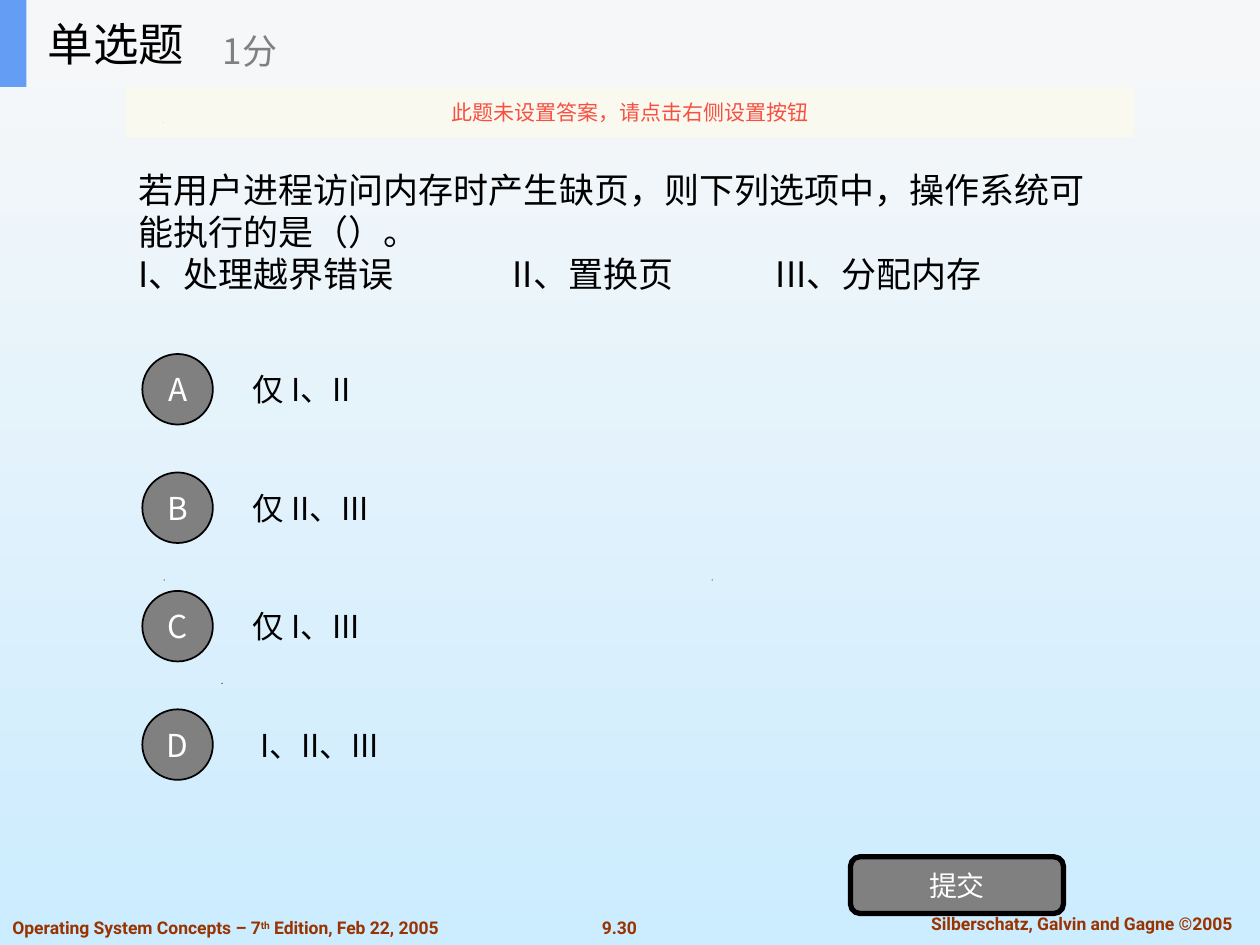
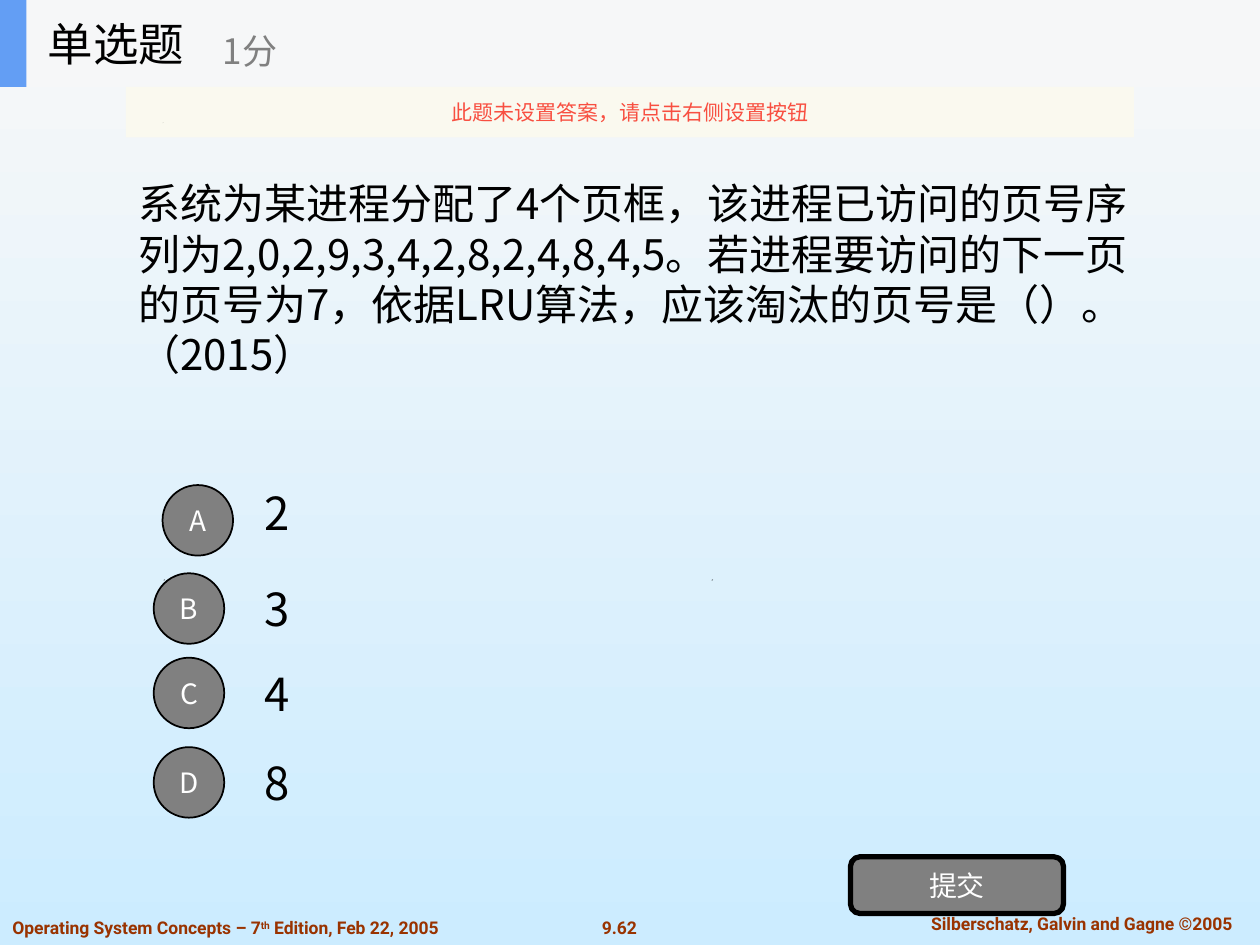
from lxml import etree
from pptx import Presentation
from pptx.dml.color import RGBColor
from pptx.enum.shapes import MSO_SHAPE
from pptx.enum.text import MSO_ANCHOR, PP_ALIGN
from pptx.oxml.ns import qn
from pptx.util import Inches, Pt

RECT, ROUNDED, OVAL = MSO_SHAPE.RECTANGLE, MSO_SHAPE.ROUNDED_RECTANGLE, MSO_SHAPE.OVAL
LEFT, CENTER = PP_ALIGN.LEFT, PP_ALIGN.CENTER
MIDDLE, TOP = MSO_ANCHOR.MIDDLE, MSO_ANCHOR.TOP

BLACK = RGBColor(0x00, 0x00, 0x00)
WHITE = RGBColor(0xFF, 0xFF, 0xFF)
GRAY = RGBColor(0x80, 0x80, 0x80)
PALE = RGBColor(0xF8, 0xF8, 0xF8)
SKY = RGBColor(0xCC, 0xEC, 0xFF)
HEADER_BAND = RGBColor(0xF6, 0xF7, 0xF8)
ACCENT = RGBColor(0x63, 0x9E, 0xF4)
NOTICE_BAND = RGBColor(0xFB, 0xFA, 0xEF)
NOTICE_RED = RGBColor(0xF8, 0x4F, 0x41)
FOOTER_BROWN = RGBColor(0x99, 0x33, 0x00)

CJK_FONT = "Noto Sans CJK SC"
FOOTER_FONT = "Roboto"
BADGE_SIZE = 0.56
OPTION_HEIGHT = 0.7
SPECKS = [(1.76, 5.42), (1.3, 4.6), (5.65, 4.6), (1.29, 0.97)]


def write(shape, text, size=18, color=BLACK, font=CJK_FONT, bold=False, align=LEFT,
          anchor=MIDDLE, wrap=True, spacing=None, tabs=(), inset=0.1):
    frame = shape.text_frame
    frame.word_wrap = wrap
    frame.vertical_anchor = anchor
    frame.margin_left = Inches(inset)
    lines = [text] if isinstance(text, str) else text
    for index, line in enumerate(lines):
        paragraph = frame.add_paragraph() if index else frame.paragraphs[0]
        paragraph.alignment = align
        if spacing:
            paragraph.line_spacing = Pt(spacing)
        if tabs:
            tab_list = etree.SubElement(paragraph._p.get_or_add_pPr(), qn("a:tabLst"))
            for position in tabs:
                etree.SubElement(tab_list, qn("a:tab"), pos=str(Inches(position)), algn="l")
        for part in [line] if isinstance(line, str) else line:
            content, baseline = (part, 0) if isinstance(part, str) else part
            run = paragraph.add_run()
            run.text = content
            run.font.size = Pt(size)
            run.font.bold = bold
            run.font.color.rgb = color
            run.font.name = font
            properties = run._r.get_or_add_rPr()
            etree.SubElement(properties, qn("a:ea"), typeface=font)
            if baseline:
                properties.set("baseline", str(baseline))


def add_text(shapes, box, text, **style):
    label = shapes.add_textbox(*map(Inches, box))
    write(label, text, **style)


def add_block(shapes, preset, box, fill, line_width=0):
    block = shapes.add_shape(preset, *map(Inches, box))
    block.shadow.inherit = False
    block.fill.solid()
    block.fill.fore_color.rgb = fill
    if line_width:
        block.line.color.rgb = BLACK
        block.line.width = Pt(line_width)
    else:
        block.line.fill.background()
    return block


def paint_background(slide):
    fill = slide.background.fill
    fill.gradient()
    fill.gradient_angle = 270
    for stop, color in zip(fill.gradient_stops, (PALE, SKY)):
        stop.color.rgb = color


def add_specks(shapes):
    for x, y in SPECKS:
        outline = shapes.build_freeform(Inches(x), Inches(y + 0.01), scale=1.0)
        outline.add_line_segments(
            [(Inches(x + 0.01), Inches(y)), (Inches(x), Inches(y))], close=True)
        speck = outline.convert_to_shape()
        speck.shadow.inherit = False
        speck.fill.solid()
        speck.fill.fore_color.rgb = BLACK
        speck.line.fill.background()


def add_footer(shapes, page):
    style = dict(size=10, color=FOOTER_BROWN, font=FOOTER_FONT, bold=True, anchor=TOP)
    edition = [["Operating System Concepts – 7", ("th", 30000), " Edition, Feb 22, 2005"]]
    add_text(shapes, (4.67, 7.23, 0.49, 0.27), page, align=CENTER, wrap=False, **style)
    add_text(shapes, (7.1, 7.2, 2.97, 0.27), "Silberschatz, Galvin and Gagne ©2005",
             align=CENTER, **style)
    add_text(shapes, (0, 7.23, 3.78, 0.27), edition, **style)


def add_header(slide, box):
    left, top, width, height = box
    shapes = slide.shapes.add_group_shape().shapes
    add_block(shapes, RECT, box, HEADER_BAND)
    add_block(shapes, RECT, (left, top, 0.21, height), ACCENT)
    add_text(shapes, (left + 0.28, top, 2.08, height), "单选题", size=26)
    add_text(shapes, (left + 1.67, top + 0.12, 2.5, 0.56), "1分", size=20, color=GRAY)


def add_notice(shapes, box):
    notice = add_block(shapes, RECT, box, NOTICE_BAND)
    color = notice._element.spPr.find(qn("a:solidFill")).find(qn("a:srgbClr"))
    etree.SubElement(color, qn("a:alpha"), val="90000")
    write(notice, "此题未设置答案，请点击右侧设置按钮", size=12, color=NOTICE_RED,
          align=CENTER, wrap=False)


def add_option(shapes, letter, answer, answer_at, badge_at, answer_size, letter_size, inset=0.1):
    add_text(shapes, (*answer_at, 7, OPTION_HEIGHT), answer, size=answer_size, inset=inset)
    badge = add_block(shapes, OVAL, (*badge_at, BADGE_SIZE, BADGE_SIZE), GRAY, 1)
    write(badge, letter, size=letter_size, color=WHITE, align=CENTER, wrap=False)


def add_submit(shapes, box):
    button = add_block(shapes, ROUNDED, box, GRAY, 3)
    write(button, "提交", size=16, color=WHITE, align=CENTER, wrap=False)


def add_question_slide(deck, page, question, question_box, question_size, options, tabs=()):
    slide = deck.slides.add_slide(deck.slide_layouts[6])
    shapes = slide.shapes
    paint_background(slide)
    add_footer(shapes, page)
    add_specks(shapes)
    add_text(shapes, question_box, question, size=question_size,
             spacing=question_size * 1.2, tabs=tabs)
    for option in options:
        add_option(shapes, **option)
    add_submit(shapes, (6.75, 6.8, 1.69, 0.45))
    add_header(slide, (0, 0, 10, 0.69))
    add_notice(shapes, (1, 0.69, 8, 0.4))


def page_fault_options():
    answers = ["仅 I、II", "仅 II、III", "仅 I、III", "I、II、III"]
    for index, (letter, answer) in enumerate(zip("ABCD", answers)):
        top = 2.74 + 0.94 * index
        yield dict(letter=letter, answer=answer, answer_at=(1.91, top),
                   badge_at=(1.13, top + 0.07), answer_size=18, letter_size=18,
                   inset=0.16 if letter == "D" else 0.1)


def lru_options():
    tops = [3.72, 4.48, 5.15, 5.86]
    for letter, answer, top in zip("ABCD", "2348", tops):
        badge_at = (1.29, top + 0.13) if letter == "A" else (1.22, top + 0.07)
        yield dict(letter=letter, answer=answer, answer_at=(2, top),
                   badge_at=badge_at, answer_size=26, letter_size=16)


def main():
    deck = Presentation()
    deck.slide_width, deck.slide_height = Inches(10), Inches(7.5)
    add_question_slide(
        deck, "9.30",
        ["若用户进程访问内存时产生缺页，则下列选项中，操作系统可能执行的是（）。",
         "I、处理越界错误\tII、置换页\tIII、分配内存"],
        (1, 0.93, 7.87, 1.81), 20, page_fault_options(), tabs=(2.97, 5.06))
    add_question_slide(
        deck, "9.62",
        "系统为某进程分配了4个页框，该进程已访问的页号序列为2,0,2,9,3,4,2,8,2,4,8,4,5。"
        "若进程要访问的下一页的页号为7，依据LRU算法，应该淘汰的页号是（）。（2015）",
        (1, 1.04, 8.27, 2.34), 24, lru_options())
    deck.save("out.pptx")


if __name__ == "__main__":
    main()
